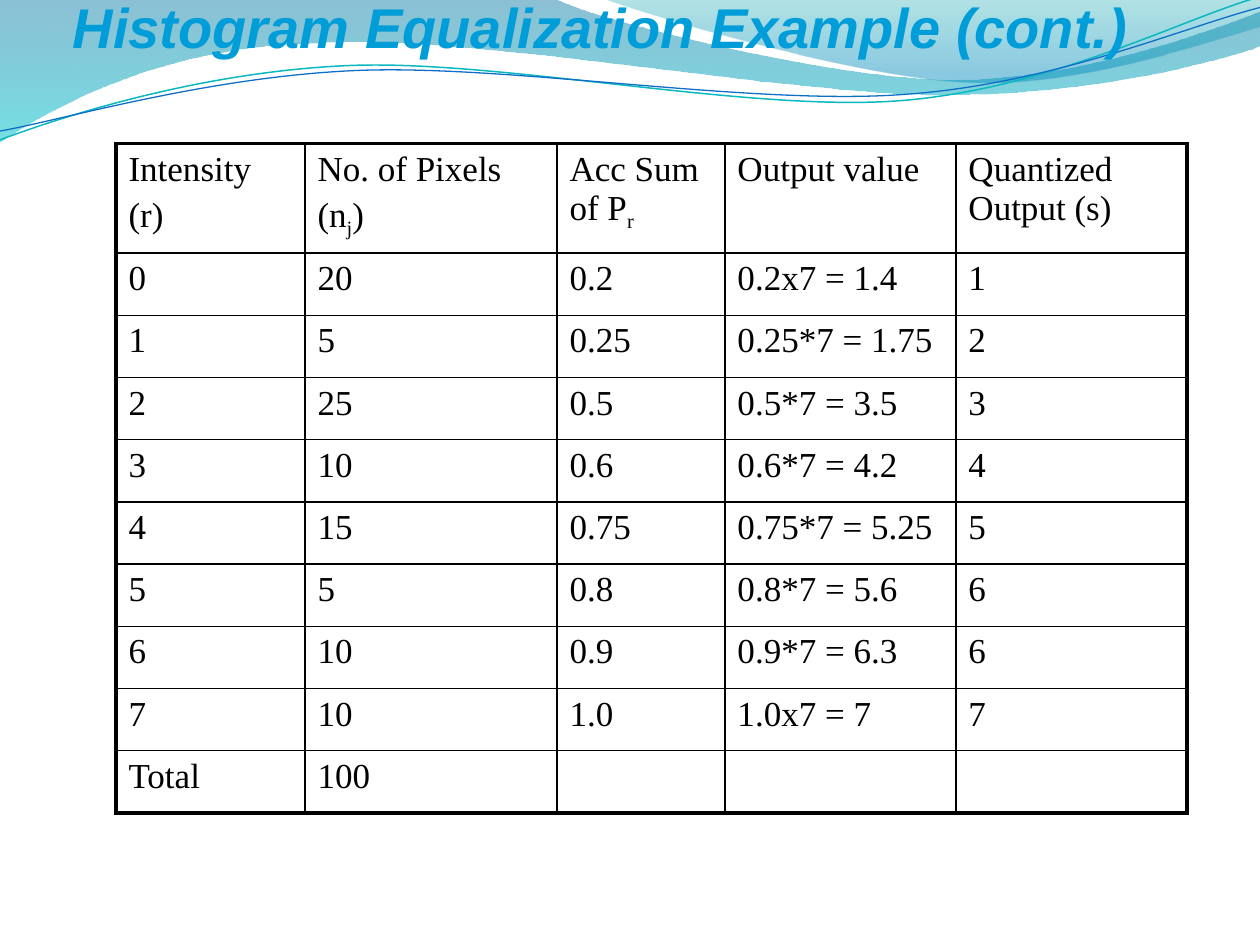
from math import cos, radians, sin

from lxml.etree import SubElement
from pptx import Presentation
from pptx.dml.color import RGBColor as Rgb
from pptx.enum.text import MSO_AUTO_SIZE as AutoSize
from pptx.oxml.ns import qn
from pptx.util import Inches, Pt

COLORS = {
    "text": "000000", "title": "009DD9",
    "deep_blue": "0074A1", "aqua": "00C6CF", "teal": "00A1A9", "sky": "008BBF",
    "teal_line": "0AB8BF", "blue_line": "0F6FC6",
}

# Each outline lists a start point, then lines [point] and Bezier curves [control, control, end].
WIDE_WAVE = [
    [(0, 0)], [(4.4, -0.01)],
    [(4.76, 0.17), (6.64, 0.63), (7.58, 0.63)], [(8.53, 0.63), (9.58, 0.26), (10, 0.09)],
    [(10.01, 0.36)],
    [(9.83, 0.44), (8.7, 0.76), (7.46, 0.75)], [(6.22, 0.75), (3.82, 0.28), (2.57, 0.34)],
    [(1.29, 0.36), (0.46, 0.83), (-0.01, 1.13)], [(0, 0)],
]
RIGHT_WAVE = [
    [(4.79, -0.01)],
    [(5.09, 0.11), (6.82, 0.62), (7.69, 0.65)], [(8.56, 0.69), (9.61, 0.32), (10, 0.21)],
    [(10, 0)], [(4.79, -0.01)],
]
TEAL_CURVE = [
    [(0, 1.11)],
    [(0.48, 0.93), (1.58, 0.57), (2.77, 0.52)], [(3.95, 0.47), (5.93, 0.89), (7.13, 0.8)],
    [(8.33, 0.71), (9.38, 0.15), (9.98, -0.02)],
]
BLUE_CURVE = [
    [(0, 1.04)],
    [(0.47, 0.96), (1.64, 0.61), (2.83, 0.56)], [(4.03, 0.51), (5.97, 0.84), (7.17, 0.75)],
    [(8.36, 0.67), (9.41, 0.21), (10, 0.06)],
]
CURVE_TILT = -2.7

# Text between underscores is subscript; a line break starts a new paragraph.
ROWS = [
    ("Intensity\n(r)", "No. of Pixels\n(n_j_)", "Acc Sum of P_r_", "Output value",
     "Quantized Output (s)"),
    ("0", "20", "0.2", "0.2x7 = 1.4", "1"),
    ("1", "5", "0.25", "0.25*7 = 1.75", "2"),
    ("2", "25", "0.5", "0.5*7 = 3.5", "3"),
    ("3", "10", "0.6", "0.6*7 = 4.2", "4"),
    ("4", "15", "0.75", "0.75*7 = 5.25", "5"),
    ("5", "5", "0.8", "0.8*7 = 5.6", "6"),
    ("6", "10", "0.9", "0.9*7 = 6.3", "6"),
    ("7", "10", "1.0", "1.0x7 = 7", "7"),
    ("Total", "100", "", "", ""),
]
COLUMN_WIDTHS = [1.5, 2, 4 / 3, 11 / 6, 11 / 6]
HEADER_HEIGHT = 5 / 6


def turn(outline, degrees, pivot):
    """Rotate an outline clockwise around the pivot."""
    cosine, sine = cos(radians(degrees)), sin(radians(degrees))
    pivot_x, pivot_y = pivot
    return [[(pivot_x + (x - pivot_x) * cosine - (y - pivot_y) * sine,
              pivot_y + (x - pivot_x) * sine + (y - pivot_y) * cosine)
             for x, y in part] for part in outline]


class SlideBuilder:
    def __init__(self, slide, title_font="Arial", table_font="Times New Roman"):
        self.slide = slide
        self.title_font = title_font
        self.table_font = table_font

    def style_font(self, font, name, size, color):
        font.name, font.size = name, Pt(size)
        font.color.rgb = Rgb.from_string(COLORS[color])

    def freeform(self, outline, close):
        """Build the outline from lines, then merge each three-point part into a Bezier."""
        start, *rest = [(Inches(x), Inches(y)) for part in outline for x, y in part]
        builder = self.slide.shapes.build_freeform(*start)
        builder.add_line_segments(rest, close=close)
        shape = builder.convert_to_shape()
        shape.shadow.inherit = False
        lines = iter(list(shape._element.iter(qn("a:lnTo"))))
        for part in outline[1:]:
            segment = next(lines)
            if len(part) == 3:
                segment.tag = qn("a:cubicBezTo")
                for _ in range(2):
                    merged = next(lines)
                    segment.append(merged[0])
                    merged.getparent().remove(merged)
        return shape

    def wave(self, outline, stops):
        """Draw a filled wave; each stop is position, colour and opacity percent."""
        shape = self.freeform(outline, close=True)
        shape.line.fill.background()
        shape.fill.gradient()
        shape.fill.gradient_angle = 270
        for stop, (position, color, _) in zip(shape.fill.gradient_stops, stops):
            stop.position = position
            stop.color.rgb = Rgb.from_string(COLORS[color])
        tints = shape.fill._xPr.iter(qn("a:srgbClr"))
        for tint, (_, _, opacity) in zip(tints, stops):
            SubElement(tint, qn("a:alpha"), val=str(opacity * 1000))

    def curve(self, outline, pivot, color, width):
        shape = self.freeform(turn(outline, -CURVE_TILT, pivot), close=False)
        shape.rotation = CURVE_TILT
        shape.fill.background()
        shape.line.color.rgb = Rgb.from_string(COLORS[color])
        shape.line.width = Pt(width)

    def title(self, text, left, top, width, height):
        box = self.slide.shapes.add_textbox(
            Inches(left), Inches(top), Inches(width), Inches(height))
        frame = box.text_frame
        frame.word_wrap = True
        frame.auto_size = AutoSize.SHAPE_TO_FIT_TEXT
        frame.text = text
        font = frame.paragraphs[0].runs[0].font
        self.style_font(font, self.title_font, 32, "title")
        font.bold = font.italic = True

    def table(self, rows, widths, left, top, height):
        table = self.slide.shapes.add_table(
            len(rows), len(widths), Inches(left), Inches(top),
            Inches(sum(widths)), Inches(height)).table
        table.first_row = table.horz_banding = False
        for column, width in zip(table.columns, widths):
            column.width = Inches(width)
        last_row, last_column = len(rows) - 1, len(widths) - 1
        body_height = (height - HEADER_HEIGHT) / last_row
        for r, texts in enumerate(rows):
            table.rows[r].height = Inches(body_height if r else HEADER_HEIGHT)
            for c, text in enumerate(texts):
                cell = table.cell(r, c)
                self.borders(cell, {"L": c == 0, "R": c == last_column,
                                    "T": r == 0, "B": r == last_row})
                cell.fill.background()
                self.cell_text(cell.text_frame, text)

    def borders(self, cell, outer_sides):
        properties = cell._tc.get_or_add_tcPr()
        for side, is_outer in outer_sides.items():
            line = SubElement(properties, qn(f"a:ln{side}"),
                              w=str(Pt(2.25 if is_outer else 1)))
            fill = SubElement(line, qn("a:solidFill"))
            SubElement(fill, qn("a:srgbClr"), val=COLORS["text"])

    def cell_text(self, frame, text):
        for index, line in enumerate(text.split("\n")):
            para = frame.add_paragraph() if index else frame.paragraphs[0]
            if index:
                para.space_before = Pt(4)
            for position, part in enumerate(line.split("_")):
                if not part:
                    continue
                span = para.add_run()
                span.text = part
                self.style_font(span.font, self.table_font, 20, "text")
                if position % 2:
                    span.font._element.set("baseline", "-25000")


def main():
    deck = Presentation()
    deck.slide_width, deck.slide_height = Inches(10), Inches(7.5)
    page = SlideBuilder(deck.slides.add_slide(deck.slide_layouts[6]))
    page.wave(WIDE_WAVE, [(0, "deep_blue", 45), (1, "aqua", 55)])
    page.wave(RIGHT_WAVE, [(0, "teal", 30), (0.8, "sky", 45)])
    page.curve(TEAL_CURVE, (4.99, 0.58), "teal_line", 0.85)
    page.curve(BLUE_CURVE, (5, 0.59), "blue_line", 0.75)
    page.title("Histogram Equalization Example (cont.)", 0.48, -0.11, 9.17, 0.64)
    page.table(ROWS, COLUMN_WIDTHS, 0.92, 1.14, 5.28)
    deck.save("out.pptx")


if __name__ == "__main__":
    main()
